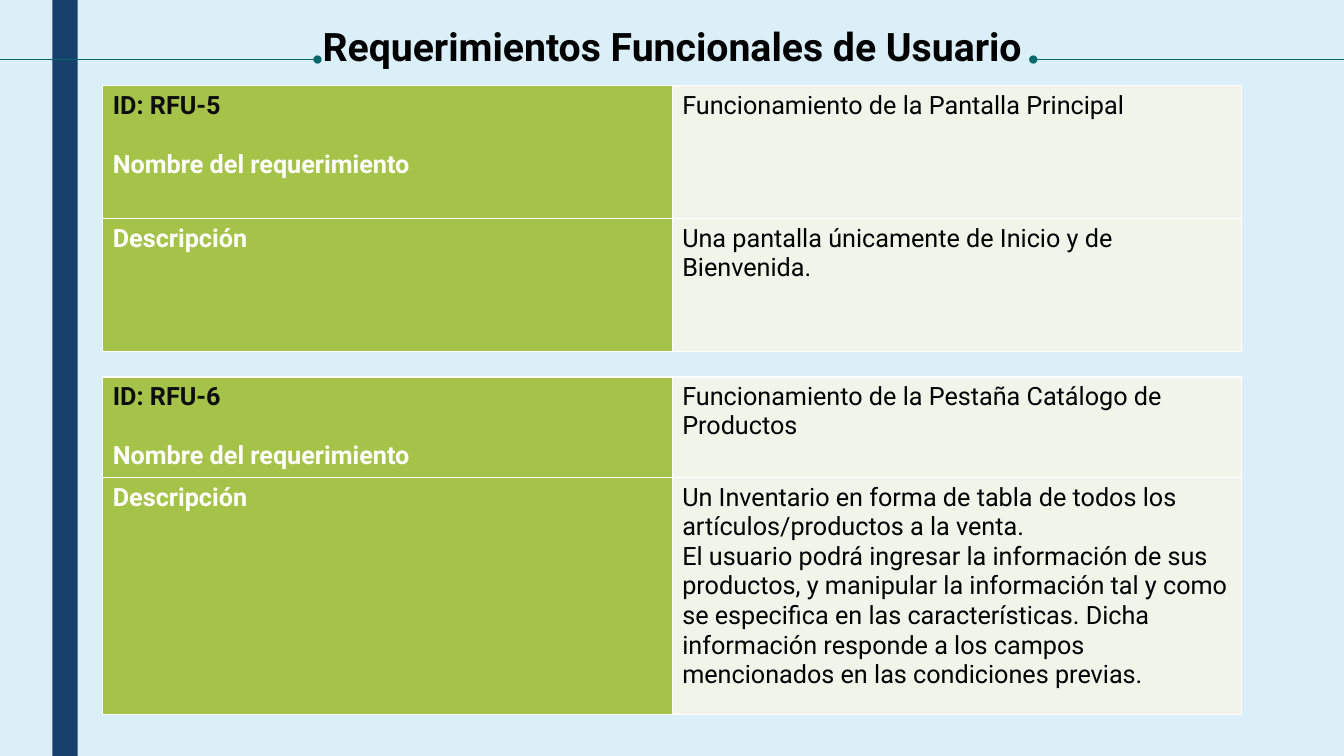
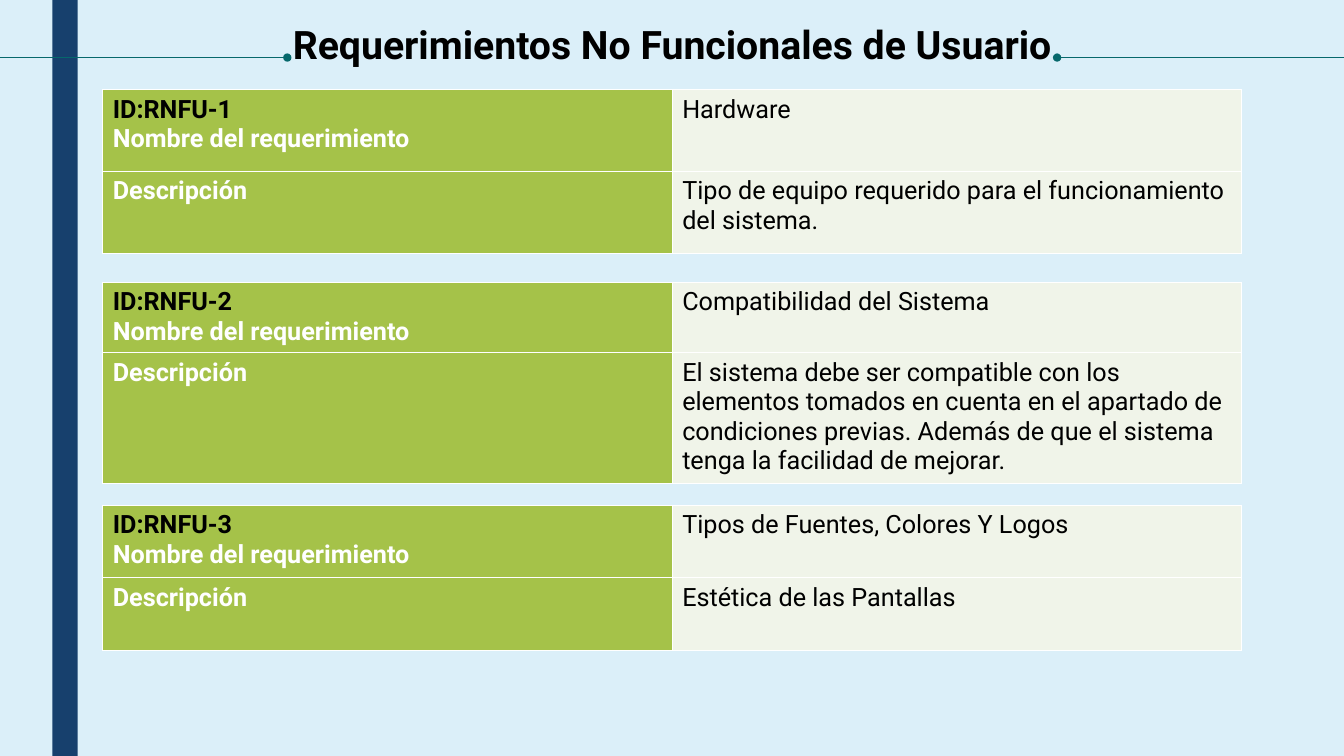
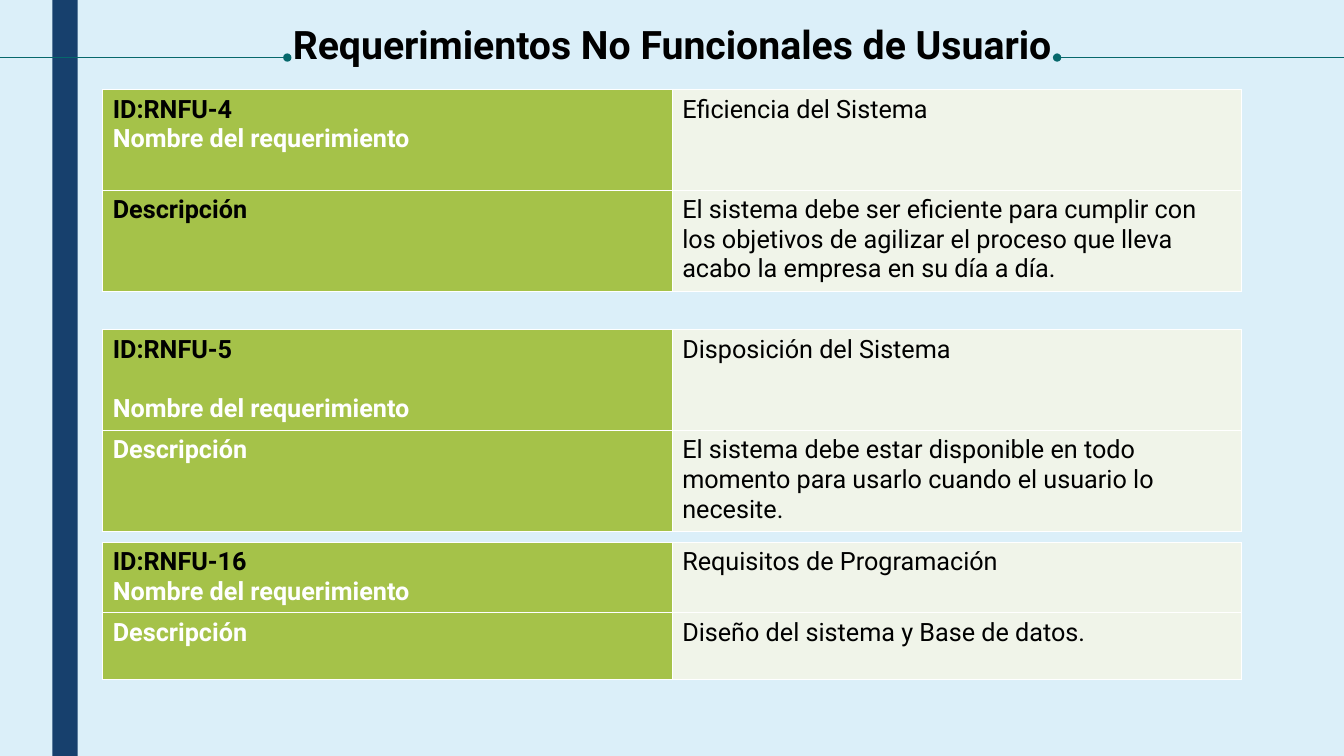
import dataclasses

import lxml.etree
import pptx
import pptx.dml.color
import pptx.enum.shapes
import pptx.enum.text
import pptx.oxml
import pptx.oxml.ns
import pptx.util

Cm = pptx.util.Cm
Pt = pptx.util.Pt

# Shared look
FONT = "Roboto"
BACKGROUND, BAND, RULE = "DBEFF9", "17406D", "06686C"
LABEL_FILL, VALUE_FILL = "A5C249", "F0F4E9"
BLACK, NEAR_BLACK, WHITE = "000000", "0D0D0D", "FFFFFF"
SLIDE_WIDTH, SLIDE_HEIGHT = 33.87, 19.05
TABLE_LEFT, COLUMN_WIDTH = 2.59, 14.35
BLANK_LINE = 21  # height in points of one line of 18 pt text
TITLE_FORMAT = {"name": FONT, "size": Pt(28), "bold": True}
LABEL_FORMAT = {"name": FONT, "size": Pt(18), "bold": True}
VALUE_FORMAT = {"name": FONT, "size": Pt(18), "bold": False}


@dataclasses.dataclass
class Requirement:
    code: str
    name: str
    description: list
    top: float
    row_heights: tuple
    code_color: str = BLACK
    description_color: str = WHITE
    name_gap: int = 0


@dataclasses.dataclass
class Page:
    title: str
    title_top: float
    rule_ends: tuple  # where the left rule stops and the right one starts
    requirements: list


PAGES = [
    Page("Requerimientos Funcionales de Usuario", 0.69, (8, 26.04), [
        Requirement("ID: RFU-5", "Funcionamiento de la Pantalla Principal",
                    ["Una pantalla únicamente de Inicio y de Bienvenida."],
                    2.16, (3.35, 3.35), NEAR_BLACK, name_gap=BLANK_LINE),
        Requirement("ID: RFU-6", "Funcionamiento de la Pestaña Catálogo de Productos",
                    ["Un Inventario en forma de tabla de todos los "
                     "artículos/productos a la venta.",
                     "El usuario podrá ingresar la información de sus productos, y "
                     "manipular la información tal y como se especifica en las "
                     "características. Dicha información responde a los campos "
                     "mencionados en las condiciones previas."],
                    9.5, (2.54, 5.97), NEAR_BLACK, name_gap=BLANK_LINE),
    ]),
    Page("Requerimientos No Funcionales de Usuario", 0.64, (7.24, 26.64), [
        Requirement("ID:RNFU-1", "Hardware",
                    ["Tipo de equipo requerido para el funcionamiento del sistema."],
                    2.26, (2.06, 2.06)),
        Requirement("ID:RNFU-2", "Compatibilidad del Sistema",
                    ["El sistema debe ser compatible con los elementos tomados en "
                     "cuenta en el apartado de condiciones previas. Además de que el "
                     "sistema tenga la facilidad de mejorar."],
                    7.11, (1.78, 3.3)),
        Requirement("ID:RNFU-3", "Tipos de Fuentes, Colores Y Logos",
                    ["Estética de las Pantallas"], 12.73, (1.83, 1.83)),
    ]),
    Page("Requerimientos No Funcionales de Usuario", 0.64, (7.24, 26.64), [
        Requirement("ID:RNFU-4", "Eficiencia del Sistema",
                    ["El sistema debe ser eficiente para cumplir con los objetivos de "
                     "agilizar el proceso que lleva acabo la empresa en su día a día."],
                    2.26, (2.54, 2.54), description_color=BLACK),
        Requirement("ID:RNFU-5", "Disposición del Sistema",
                    ["El sistema debe estar disponible en todo momento para usarlo "
                     "cuando el usuario lo necesite."],
                    8.31, (2.54, 2.54), name_gap=BLANK_LINE),
        Requirement("ID:RNFU-16", "Requisitos de Programación",
                    ["Diseño del sistema y Base de datos."], 13.66, (1.78, 1.68)),
    ]),
]


def rgb(color):
    return pptx.dml.color.RGBColor.from_string(color)


def set_attributes(target, values):
    for name, value in values.items():
        setattr(target, name, value)


def paint(fill, color):
    fill.solid()
    fill.fore_color.rgb = rgb(color)


def add_element(parent, tag, **attributes):
    return lxml.etree.SubElement(parent, pptx.oxml.ns.qn(tag), attributes)


def format_font(font, values, color):
    set_attributes(font, values)
    font.color.rgb = rgb(color)


# Parts of every slide
def add_band(slide, layout):
    """Draw the vertical band and hand it to the layout, so all slides show it."""
    band = slide.shapes.add_shape(pptx.enum.shapes.MSO_SHAPE.RECTANGLE,
                                  Cm(1.32), 0, Cm(0.64), Cm(SLIDE_HEIGHT))
    band.shadow.inherit = False
    paint(band.fill, BAND)
    band.line.fill.background()
    band.element.nvSpPr.cNvPr.set("id", "20")
    layout.shapes.element.append(band.element)


def set_title(slide, text, top):
    title = slide.shapes.title
    set_attributes(title, {"left": Cm(0.64), "top": Cm(top),
                           "width": Cm(32.59), "height": Cm(1.2)})
    frame = title.text_frame
    set_attributes(frame, {"margin_left": 0, "margin_right": 0,
                           "margin_top": 0, "margin_bottom": 0,
                           "word_wrap": True,
                           "auto_size": pptx.enum.text.MSO_AUTO_SIZE.NONE,
                           "vertical_anchor": pptx.enum.text.MSO_ANCHOR.TOP})
    frame.text = text
    paragraph = frame.paragraphs[0]
    set_attributes(paragraph, {"alignment": pptx.enum.text.PP_ALIGN.CENTER,
                               "line_spacing": 0.9})
    format_font(paragraph.runs[0].font, TITLE_FORMAT, BLACK)


def add_rule(slide, start, end, y, dot_tag):
    rule = slide.shapes.add_connector(pptx.enum.shapes.MSO_CONNECTOR.STRAIGHT,
                                      Cm(start), Cm(y), Cm(end), Cm(y))
    rule.line.width = Pt(0.5)
    rule.line.color.rgb = rgb(RULE)
    add_element(rule.line._get_or_add_ln(), dot_tag, type="oval")
    add_element(rule.element.spPr, "a:effectLst")


# Requirement tables
def set_cell(cell, fill, values, lines):
    """Fill a cell with lines of (text, colour, space before)."""
    properties = cell._tc.get_or_add_tcPr()
    for side in ("a:lnL", "a:lnR", "a:lnT", "a:lnB"):
        border = add_element(properties, side, w=str(Pt(1)))
        add_element(add_element(border, "a:solidFill"), "a:srgbClr", val=WHITE)
    paint(cell.fill, fill)
    frame = cell.text_frame
    for index, (text, color, gap) in enumerate(lines):
        paragraph = frame.add_paragraph() if index else frame.paragraphs[0]
        if gap:
            paragraph.space_before = Pt(gap)
        run = paragraph.add_run()
        run.text = text
        format_font(run.font, values, color)


def add_requirement(slide, requirement):
    heights = requirement.row_heights
    table = slide.shapes.add_table(2, 2, Cm(TABLE_LEFT), Cm(requirement.top),
                                   Cm(2 * COLUMN_WIDTH), Cm(sum(heights))).table
    set_attributes(table, {"first_row": False, "horz_banding": False})
    for row, height in zip(table.rows, heights):
        row.height = Cm(height)
    labels = [
        [(requirement.code, requirement.code_color, 0),
         ("Nombre del requerimiento", WHITE, requirement.name_gap)],
        [("Descripción", requirement.description_color, 0)],
    ]
    values = [[requirement.name], requirement.description]
    for index in range(2):
        set_cell(table.cell(index, 0), LABEL_FILL, LABEL_FORMAT, labels[index])
        set_cell(table.cell(index, 1), VALUE_FILL, VALUE_FORMAT,
                 [(text, BLACK, 0) for text in values[index]])


def add_page(presentation, layout, page):
    slide = presentation.slides.add_slide(layout)
    set_title(slide, page.title, page.title_top)
    left_end, right_start = page.rule_ends
    rule_y = page.title_top + 0.81
    add_rule(slide, 0, left_end, rule_y, "a:tailEnd")
    add_rule(slide, right_start, SLIDE_WIDTH, rule_y, "a:headEnd")
    for requirement in page.requirements:
        add_requirement(slide, requirement)
    return slide


def main():
    presentation = pptx.Presentation()
    set_attributes(presentation, {"slide_width": Cm(SLIDE_WIDTH),
                                  "slide_height": Cm(SLIDE_HEIGHT)})
    paint(presentation.slide_master.background.fill, BACKGROUND)
    layout = presentation.slide_layouts[5]
    slides = [add_page(presentation, layout, page) for page in PAGES]
    add_band(slides[0], layout)
    presentation.save("out.pptx")


if __name__ == "__main__":
    main()
